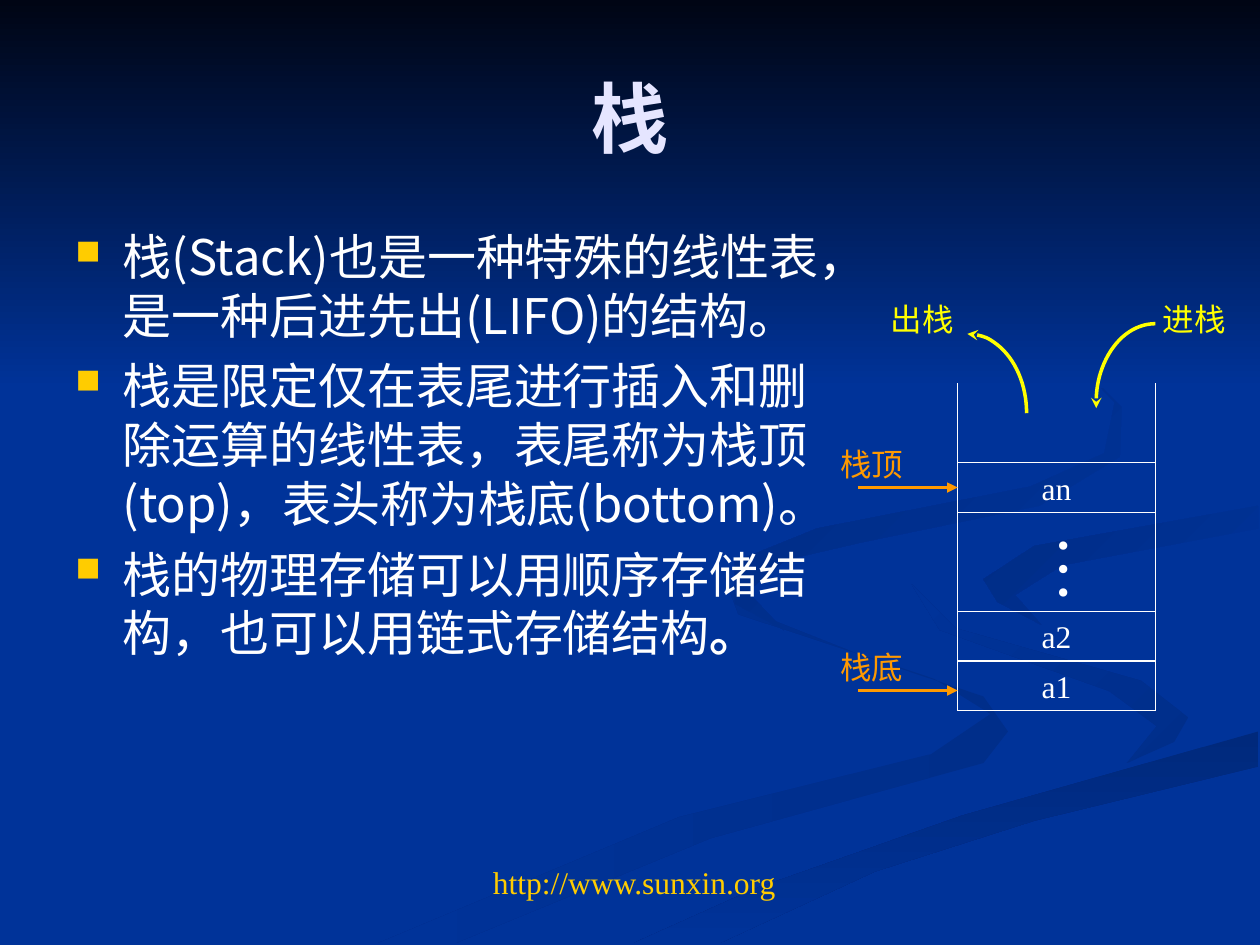
from lxml import etree
from pptx import Presentation
from pptx import util as u
from pptx.dml.color import RGBColor
from pptx.enum import shapes, text
from pptx.oxml.ns import qn

COLORS = {
    "background": "003399", "night": "000514", "shade": "002E8A", "deep": "00297C",
    "curl": "002C85", "ribbon": "002B81", "title": "E5E5FF", "white": "FFFFFF",
    "gold": "FFCC00", "orange": "FF9900", "yellow": "FFFF00",
}
SANS, SERIF = "Noto Sans CJK SC", "Times New Roman"

TITLE = "栈"
BODY = [
    [("栈(Stack)也是一种特殊的线性表，是一种后进先出(LIFO)的结构。", False)],
    [("栈是限定仅在表尾进行插入和删除运算的线性表，表尾称为栈顶(top)，表头称为栈底(bottom)。", False)],
    [("栈的物理存储可以用顺序存储结构，也可以用链式存储结构", False), ("。", True)],
]
FOOTER = "http://www.sunxin.org"

STACK_LEFT, STACK_RIGHT, STACK_TOP, STACK_BOTTOM = 547.2, 660.2, 219, 406.2
CELL_HEIGHT = 28.4
CELLS = [("a1", STACK_BOTTOM - CELL_HEIGHT), ("a2", STACK_BOTTOM - 2 * CELL_HEIGHT), ("an", 264.4)]
POINTERS = [("栈底", 394.6, None), ("栈顶", 278.6, "an")]
MOVES = [
    ("出栈", 501.8, (519, 190.8), (270, 360)),
    ("进栈", 657.4, (626.4, 185), (175, 270)),
]

SWIRLS = [
    ("shade", "background", 180, [
        (562, 398), (491, 374), (428, 349), (414, 330), (422, 351), (534, 388), (566, 408),
        (532, 431), (388, 467), (216, 539), (260, 539), (406, 479), (562, 436), (576, 418)]),
    ("shade", "background", 135, [
        (679, 410), (652, 389), (546, 359), (521, 334), (537, 360), (634, 395), (661, 415),
        (644, 436), (671, 424)]),
    ("deep", "background", 270, [
        (362, 539), (411, 539), (500, 498), (591, 469), (719, 438), (719, 418), (550, 466),
        (431, 508)]),
    ("background", "curl", 135, [
        (562, 331), (570, 344), (595, 357), (580, 340), (607, 323), (719, 302), (719, 289),
        (591, 312)]),
    ("background", "ribbon", 135, [
        (492, 310), (594, 289), (640, 261), (641, 233), (607, 198), (637, 230), (631, 259),
        (589, 278), (467, 302), (420, 321), (420, 345), (448, 360), (427, 338), (449, 320)]),
]


def rgb(name):
    return RGBColor.from_string(COLORS[name])


def add_element(parent, tag, **attributes):
    return etree.SubElement(parent, qn(tag), attributes)


def paint_gradient(shape, first, last, angle):
    shape.shadow.inherit = False
    shape.line.fill.background()
    shape.fill.gradient()
    shape.fill.gradient_angle = angle
    for stop, name in zip(shape.fill.gradient_stops, (first, last)):
        stop.color.rgb = rgb(name)


def set_line(shape, color, width, arrow=None):
    shape.line.color.rgb = rgb(color)
    shape.line.width = u.Pt(width)
    if arrow:
        end, kind = arrow
        add_element(shape.line._get_or_add_ln(), "a:" + end, type=kind)


def add_run(paragraph, content, size, font, color, bold=False):
    run = paragraph.add_run()
    run.text = content
    for name, value in {"size": u.Pt(size), "name": font, "bold": bold}.items():
        setattr(run.font, name, value)
    run.font.color.rgb = rgb(color)
    add_element(run._r.get_or_add_rPr(), "a:ea", typeface=SANS)


def add_box(slide, box, anchor=text.MSO_ANCHOR.TOP):
    shape = slide.shapes.add_textbox(*map(u.Pt, box))
    shape.text_frame.word_wrap = True
    shape.text_frame.vertical_anchor = anchor
    return shape


def add_label(slide, content, box, size, color, font=SERIF, bold=False, centred=False,
              anchor=text.MSO_ANCHOR.TOP):
    shape = add_box(slide, box, anchor)
    paragraph = shape.text_frame.paragraphs[0]
    if centred:
        paragraph.alignment = text.PP_ALIGN.CENTER
    add_run(paragraph, content, size, font, color, bold)
    return shape


def add_line(slide, start, end, color, width, arrow=None):
    connector = slide.shapes.add_connector(
        shapes.MSO_CONNECTOR.STRAIGHT, *map(u.Pt, start + end))
    set_line(connector, color, width, arrow)
    add_element(connector._element.spPr, "a:effectLst")
    return connector


def add_backdrop(slide):
    slide.background.fill.solid()
    slide.background.fill.fore_color.rgb = rgb("background")
    for first, last, angle, points in SWIRLS:
        builder = slide.shapes.build_freeform(*points[0], scale=u.Pt(1))
        builder.add_line_segments(points[1:], close=True)
        paint_gradient(builder.convert_to_shape(), first, last, angle)
    sky = slide.shapes.add_shape(shapes.MSO_SHAPE.RECTANGLE, 0, 0, u.Pt(720), u.Pt(222))
    paint_gradient(sky, "night", "background", 270)


def add_body(slide):
    frame = add_box(slide, (36, 126, 448.6, 297.4)).text_frame
    for index, runs in enumerate(BODY):
        paragraph = frame.add_paragraph() if index else frame.paragraphs[0]
        paragraph.line_spacing = u.Pt(33.5)
        if index:
            paragraph.space_before = u.Pt(7)
        properties = paragraph._p.get_or_add_pPr()
        properties.set("marL", str(u.Pt(27)))
        properties.set("indent", str(-u.Pt(27)))
        add_element(add_element(properties, "a:buClr"), "a:srgbClr", val=COLORS["gold"])
        add_element(properties, "a:buSzPct", val="70000")
        add_element(properties, "a:buChar", char="■")
        for content, bold in runs:
            add_run(paragraph, content, 28, SANS, "white", bold)


def add_stack(slide):
    add_line(slide, (STACK_LEFT, STACK_BOTTOM), (STACK_RIGHT, STACK_BOTTOM), "white", 0.75)
    for x in (STACK_LEFT, STACK_RIGHT):
        add_line(slide, (x, STACK_TOP), (x, STACK_BOTTOM), "white", 0.75)
    cells = {}
    for name, top in CELLS:
        box = (STACK_LEFT, top, STACK_RIGHT - STACK_LEFT, CELL_HEIGHT)
        cell = slide.shapes.add_shape(shapes.MSO_SHAPE.RECTANGLE, *map(u.Pt, box))
        cell.shadow.inherit = False
        cell.fill.background()
        set_line(cell, "white", 0.75)
        cell.text_frame.word_wrap = False
        cell.text_frame.vertical_anchor = text.MSO_ANCHOR.MIDDLE
        paragraph = cell.text_frame.paragraphs[0]
        paragraph.alignment = text.PP_ALIGN.CENTER
        add_run(paragraph, name, 18, SERIF, "white")
        cells[name] = cell
    dots = add_label(slide, "…", (587.5, 298, 62, 45.4), 40, "white")
    dots.text_frame._txBody.bodyPr.set("vert", "eaVert")
    for side, inset in {"left": 3.6, "right": 3.6, "top": 7.2, "bottom": 7.2}.items():
        setattr(dots.text_frame, "margin_" + side, u.Pt(inset))
    for name, y, target in POINTERS:
        arrow = add_line(slide, (490.3, y), (STACK_LEFT, y), "orange", 2, ("tailEnd", "triangle"))
        if target:
            arrow.end_connect(cells[target], 1)
        add_label(slide, name, (473, y - 28, 56.9, 28.8), 18, "orange")
    for name, left, corner, angles in MOVES:
        arc = slide.shapes.add_shape(shapes.MSO_SHAPE.ARC, *map(u.Pt, corner + (67.7, 90.7)))
        arc.shadow.inherit = False
        for index, angle in enumerate(angles):
            arc.adjustments[index] = angle % 360 * 0.6
        arc.fill.background()
        set_line(arc, "yellow", 2, ("headEnd", "stealth"))
        add_label(slide, name, (left, 167.8, 51.1, 28.8), 18, "yellow")


def main():
    presentation = Presentation()
    presentation.slide_width, presentation.slide_height = u.Pt(720), u.Pt(540)
    slide = presentation.slides.add_slide(presentation.slide_layouts[6])
    add_backdrop(slide)
    add_label(slide, TITLE, (36, 21.6, 648, 90), 44, "title", SANS, True, True,
              text.MSO_ANCHOR.MIDDLE)
    add_body(slide)
    add_stack(slide)
    add_label(slide, FOOTER, (127.4, 489.6, 470.2, 28.8), 18, "gold", centred=True)
    presentation.save("out.pptx")


if __name__ == "__main__":
    main()
